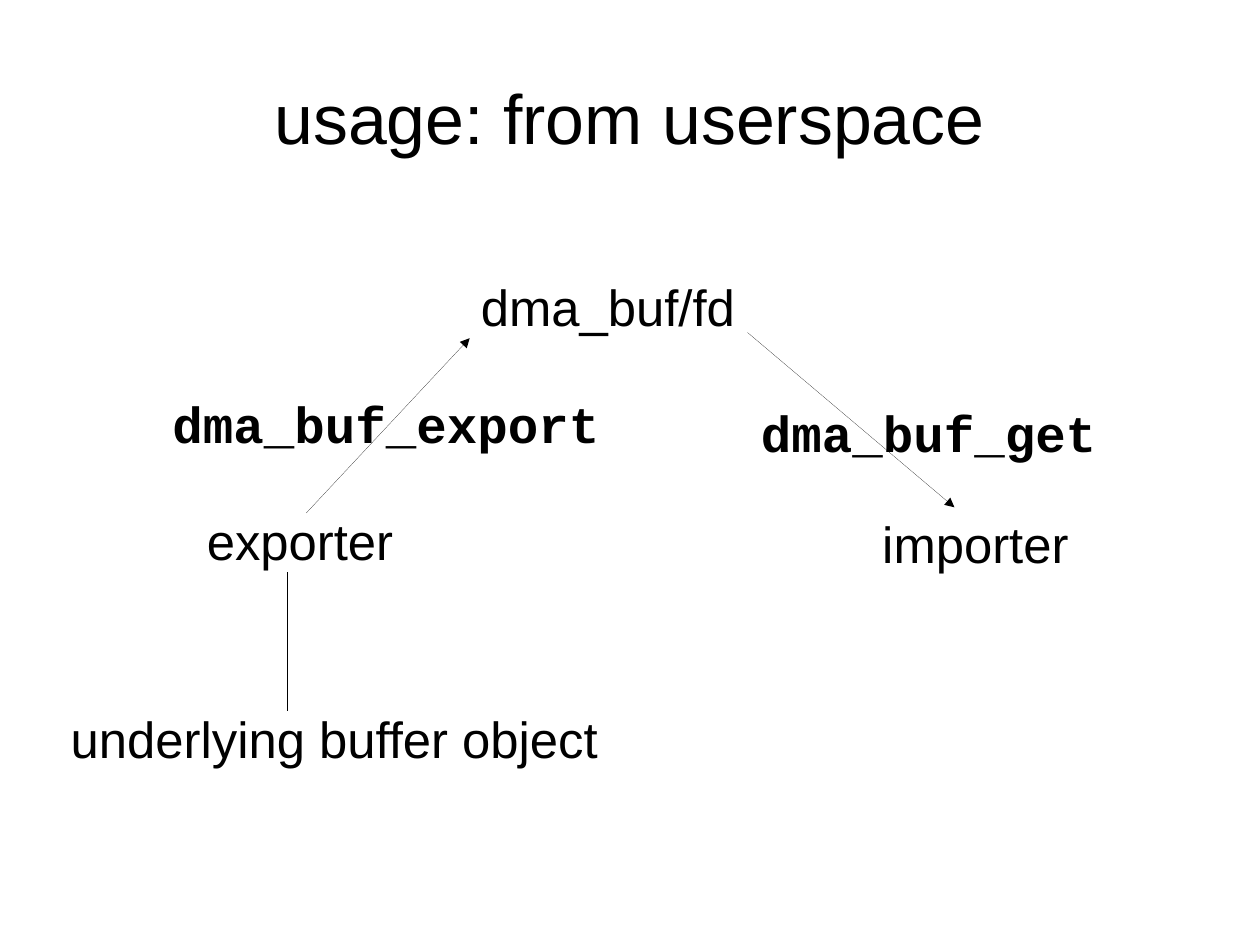
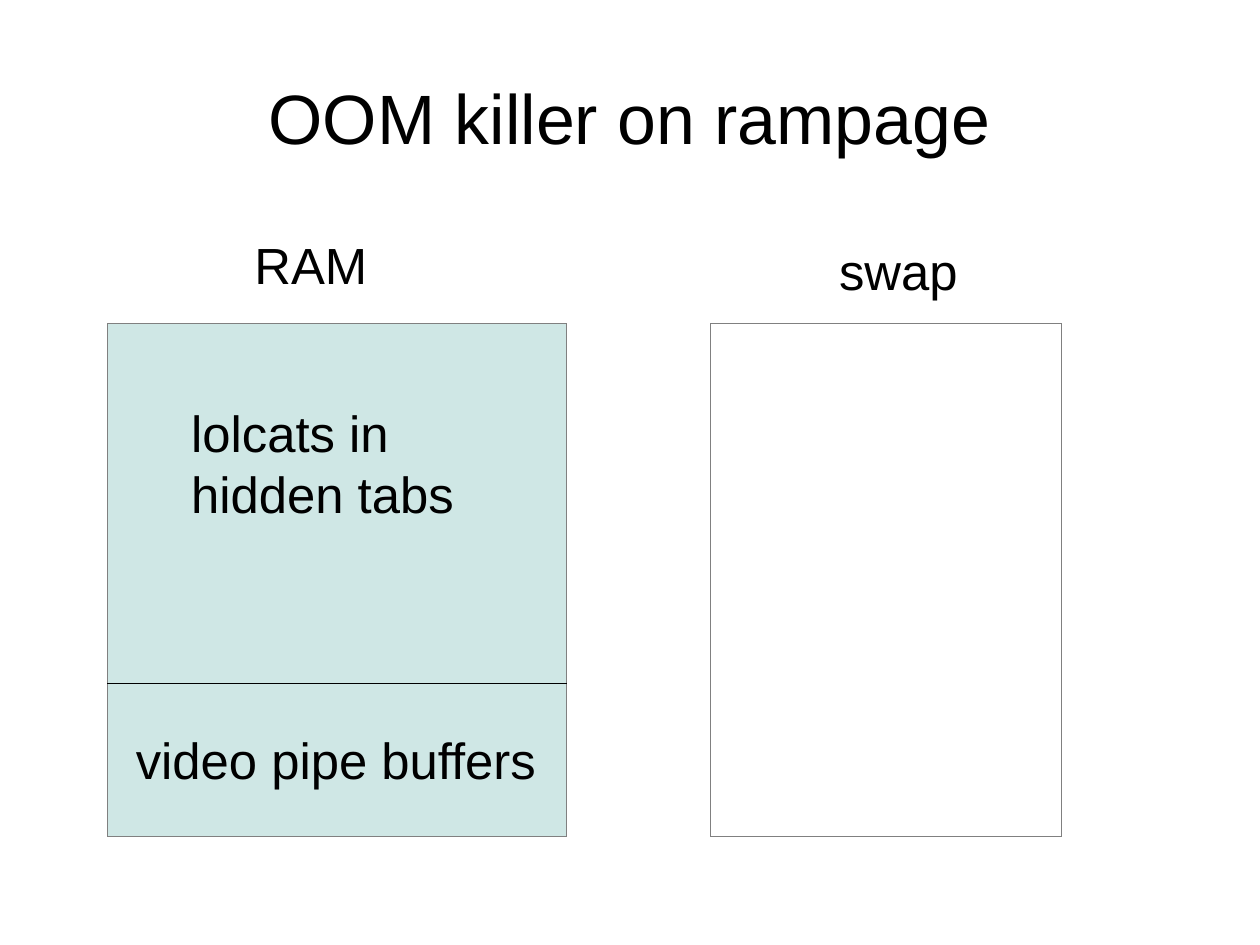
"""Builds two slides on sharing buffers and running out of memory."""
from dataclasses import dataclass
from typing import Optional

from lxml.etree import SubElement
from pptx import Presentation
from pptx.dml.color import RGBColor
from pptx.dml.line import LineFormat
from pptx.enum.shapes import MSO_CONNECTOR, MSO_SHAPE
from pptx.enum.text import MSO_ANCHOR, MSO_AUTO_SIZE, PP_ALIGN
from pptx.oxml.ns import qn
from pptx.slide import Slide, SlideLayout
from pptx.text.text import TextFrame
from pptx.util import Cm, Pt

WIDTH = Cm(28)
HEIGHT = Cm(21)
LABEL_HEIGHT = 7.26
CALL_HEIGHT = 7.5


@dataclass(frozen=True)
class Theme:
    """Colours, fonts and sizes shared by the slides."""
    ink: RGBColor = RGBColor(0x00, 0x00, 0x00)
    outline: RGBColor = RGBColor(0x80, 0x80, 0x80)
    used_memory: RGBColor = RGBColor(0xCF, 0xE7, 0xE5)
    sans: str = "Arial"
    mono: str = "Courier New"
    title_size: Pt = Pt(44)
    label_size: Pt = Pt(32)
    hairline: str = "0"


THEME = Theme()


@dataclass(frozen=True)
class Frame:
    """A rectangle in percent of the slide's width and height."""
    left: float
    top: float
    width: float
    height: float = LABEL_HEIGHT

    @property
    def right(self) -> float:
        """Returns the right edge."""
        return self.left + self.width

    def lengths(self) -> tuple[int, int, int, int]:
        """Returns left, top, width and height as lengths."""
        return (across(self.left), down(self.top),
                across(self.width), down(self.height))


@dataclass(frozen=True)
class Label:
    """A text at a place, in code style for function calls."""
    text: str
    frame: Frame
    call: bool = False
    wrap: bool = False


@dataclass(frozen=True)
class Link:
    """A straight line between two points in percent of the slide."""
    start: tuple[float, float]
    end: tuple[float, float]
    arrow: bool = False


@dataclass(frozen=True)
class Store:
    """A block of memory, filled when it is in use."""
    frame: Frame
    fill: Optional[RGBColor] = None


@dataclass(frozen=True)
class Diagram:
    """The content of one slide."""
    title: str
    labels: tuple[Label, ...]
    links: tuple[Link, ...]
    stores: tuple[Store, ...] = ()


TITLE_FRAME = Frame(5, 4, 90, 16.7)
RAM_FRAME = Frame(8.53, 34.22, 36.46, 54.27)
SWAP_FRAME = Frame(56.43, RAM_FRAME.top, 27.85, RAM_FRAME.height)
SPLIT = 72.33

DIAGRAMS = (
    Diagram(
        "usage: from userspace",
        labels=(
            Label("exporter", Frame(15.52, 53.33, 16.6)),
            Label("importer", Frame(69.13, 53.69, 16.6)),
            Label("dma_buf/fd", Frame(37.27, 28.54, 22.05)),
            Label("dma_buf_export", Frame(12.8, 40.97, 35.83, CALL_HEIGHT), call=True),
            Label("dma_buf_get", Frame(59.5, 41.87, 28.48, CALL_HEIGHT), call=True),
            Label("underlying buffer object", Frame(4.72, 74.25, 43.72)),
        ),
        links=(
            Link((24.31, 54.29), (37.28, 35.79), arrow=True),
            Link((59.33, 35.19), (75.75, 53.69), arrow=True),
            Link((22.86, 60.58), (22.86, 75.21)),
        ),
    ),
    Diagram(
        "OOM killer on rampage",
        labels=(
            Label("RAM", Frame(19.3, 24.18, 10.8)),
            Label("swap", Frame(65.7, 24.75, 11.25, 8.22)),
            Label("lolcats in hidden tabs", Frame(14.28, 41.9, 23.6, 20.92), wrap=True),
            Label("video pipe buffers", Frame(9.89, 76.54, 33.67)),
        ),
        links=(Link((RAM_FRAME.left, SPLIT), (RAM_FRAME.right, SPLIT)),),
        stores=(Store(RAM_FRAME, THEME.used_memory), Store(SWAP_FRAME)),
    ),
)


def across(percent: float) -> int:
    """Turns a share of the width into a length."""
    return round(WIDTH * percent / 100)


def down(percent: float) -> int:
    """Turns a share of the height into a length."""
    return round(HEIGHT * percent / 100)


def style_text(frame: TextFrame, face: str, size: Pt, bold: bool = False) -> None:
    """Formats every run of a text frame."""
    for para in frame.paragraphs:
        for span in para.runs:
            span.font.name = face
            span.font.size = size
            span.font.bold = bold
            span.font.color.rgb = THEME.ink


def style_line(line: LineFormat, color: RGBColor, arrow: bool = False) -> None:
    """Makes a hairline, with an arrowhead at its end if asked."""
    line.color.rgb = color
    outline = line._get_or_add_ln()
    outline.set("w", THEME.hairline)
    if arrow:
        SubElement(outline, qn("a:tailEnd"), type="triangle")


def prepare_layout(layout: SlideLayout) -> None:
    """Places the title once for all slides."""
    title = layout.placeholders[0]
    title.left, title.top, title.width, title.height = TITLE_FRAME.lengths()
    frame = title.text_frame
    frame.margin_left = frame.margin_right = 0
    frame.margin_top = frame.margin_bottom = 0
    frame.vertical_anchor = MSO_ANCHOR.MIDDLE
    frame.auto_size = MSO_AUTO_SIZE.NONE


def add_title(page: Slide, text: str) -> None:
    """Fills the title placeholder."""
    frame = page.shapes.title.text_frame
    frame.text = text
    frame.paragraphs[0].alignment = PP_ALIGN.CENTER
    style_text(frame, THEME.sans, THEME.title_size)


def add_store(page: Slide, store: Store) -> None:
    """Draws a block of memory."""
    box = page.shapes.add_shape(MSO_SHAPE.RECTANGLE, *store.frame.lengths())
    box.shadow.inherit = False
    if store.fill is None:
        box.fill.background()
    else:
        box.fill.solid()
        box.fill.fore_color.rgb = store.fill
    style_line(box.line, THEME.outline)


def add_link(page: Slide, link: Link) -> None:
    """Draws a straight line or arrow."""
    (start_x, start_y), (end_x, end_y) = link.start, link.end
    connector = page.shapes.add_connector(
        MSO_CONNECTOR.STRAIGHT,
        across(start_x), down(start_y), across(end_x), down(end_y))
    style_line(connector.line, THEME.ink, link.arrow)
    SubElement(connector._element.spPr, qn("a:effectLst"))


def add_label(page: Slide, label: Label) -> None:
    """Writes a label."""
    box = page.shapes.add_textbox(*label.frame.lengths())
    frame = box.text_frame
    frame.word_wrap = label.wrap
    frame.auto_size = MSO_AUTO_SIZE.SHAPE_TO_FIT_TEXT
    frame.text = label.text
    face = THEME.mono if label.call else THEME.sans
    style_text(frame, face, THEME.label_size, label.call)


def main() -> None:
    """Builds and saves the deck."""
    deck = Presentation()
    deck.slide_width = WIDTH
    deck.slide_height = HEIGHT
    deck.element.sldSz.attrib.pop("type", None)
    layout = deck.slide_layouts.get_by_name("Title Only")
    prepare_layout(layout)
    for diagram in DIAGRAMS:
        page = deck.slides.add_slide(layout)
        add_title(page, diagram.title)
        for store in diagram.stores:
            add_store(page, store)
        for link in diagram.links:
            add_link(page, link)
        for label in diagram.labels:
            add_label(page, label)
    deck.save("out.pptx")


if __name__ == "__main__":
    main()
